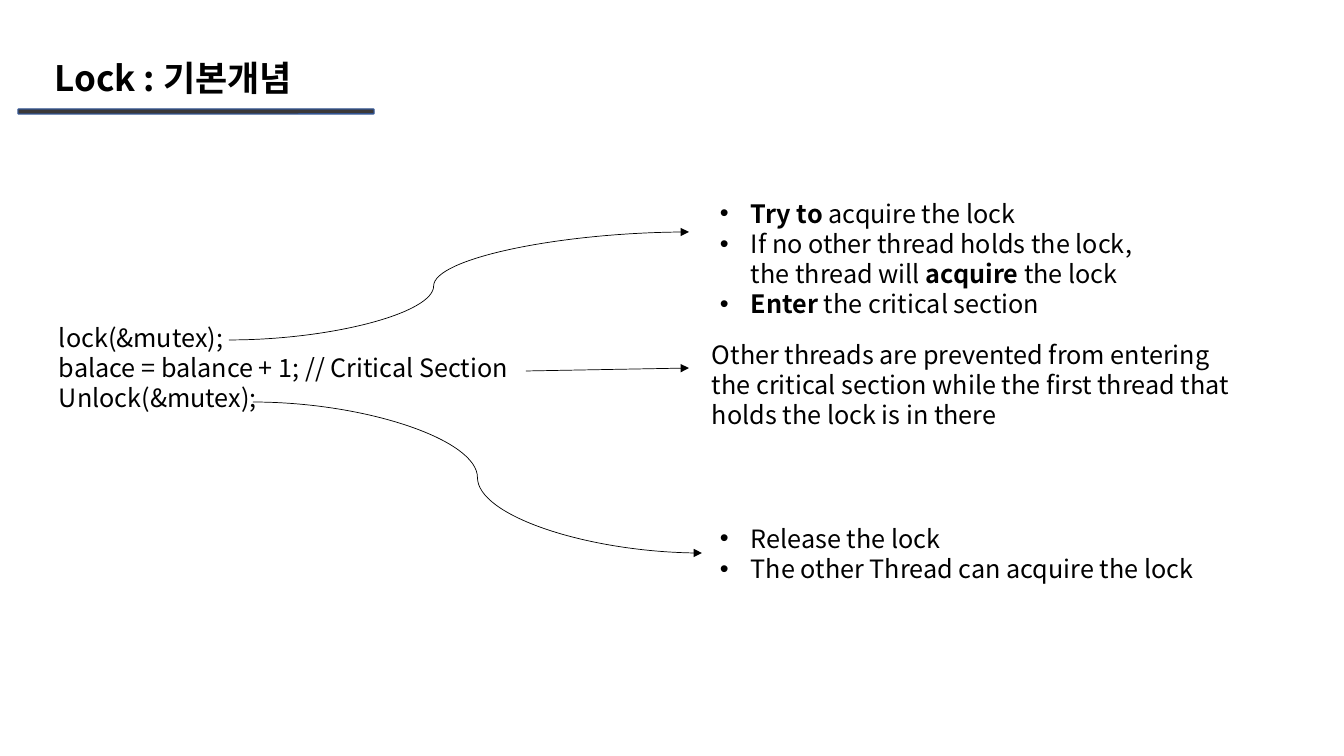
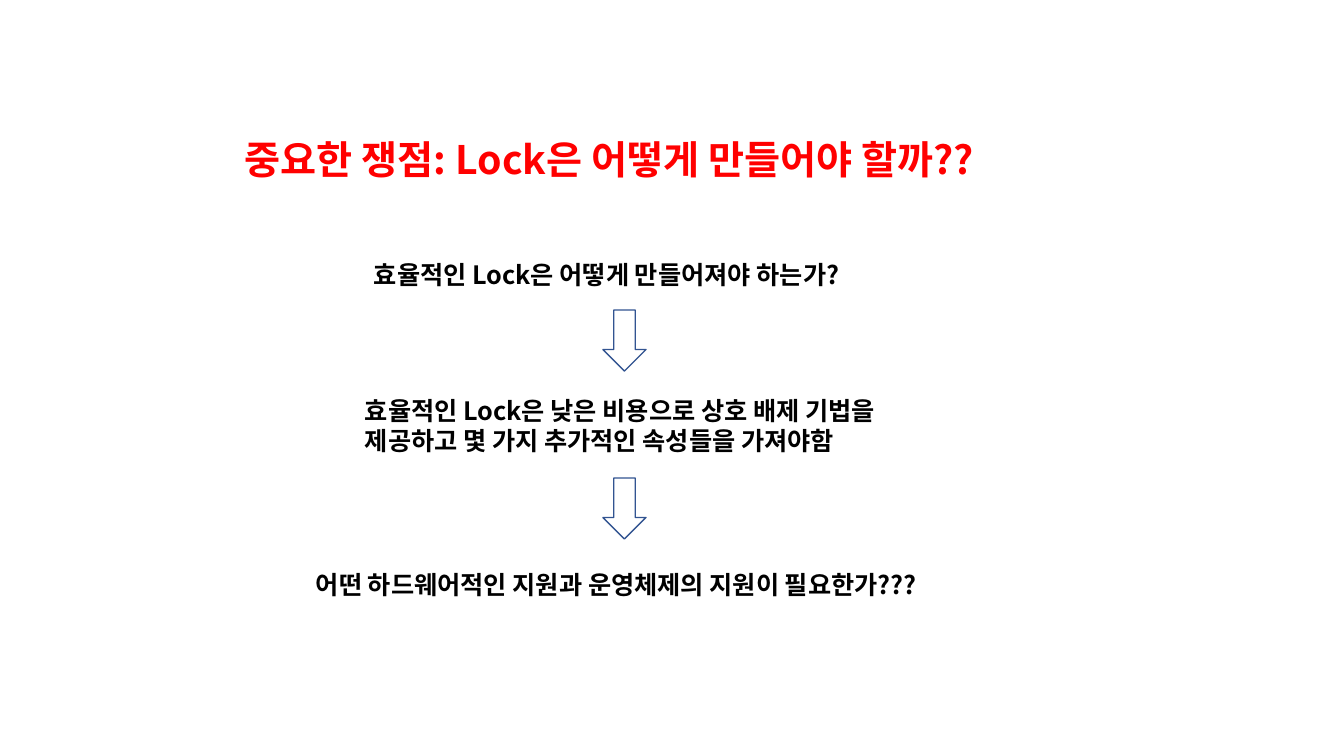
import pptx
import pptx.util
import pptx.dml.color
import pptx.enum.shapes
import pptx.oxml.ns
import lxml.etree

# Shared style
PX = 914400 / 100.8
FONT = "Noto Sans CJK KR"
BLACK, RED, WHITE = "000000", "FF0000", "FFFFFF"
BAR, EDGE = "3B3838", "325491"
SHAPE = pptx.enum.shapes.MSO_SHAPE
LINK = pptx.enum.shapes.MSO_CONNECTOR

# Slide 1: text between asterisks is bold
TITLE = "Lock : 기본개념"
CODE = [
    "lock(&mutex);",
    "balace = balance + 1; // Critical Section",
    "Unlock(&mutex);",
]
ENTER = [
    "*Try to *acquire the lock",
    "If no other thread holds the lock, the thread will *acquire* the lock",
    "*Enter* the critical section",
]
BLOCK = [
    "Other threads are prevented from entering",
    "the critical section while the first thread that",
    "holds the lock is in there",
]
LEAVE = ["Release the lock", "The other Thread can acquire the lock"]
NOTES = [
    (CODE, (49, 317, 512, 102), False),
    (ENTER, (710, 193, 450, 132), True),
    (LEAVE, (710, 518, 516, 72), True),
    (BLOCK, (702, 334, 543, 102), False),
]
# Ends of each arrow, and the bend of a curved one
LINKS = [
    ((229, 340, 689, 232), 0.445),
    ((253, 402, 702, 553), 0.5),
    ((526, 371, 689, 368), None),
]

# Slide 2
ISSUE = "중요한 쟁점: Lock은 어떻게 만들어야 할까??"
STEPS = [
    ("효율적인 Lock은 어떻게 만들어져야 하는가?", (364, 254, 565, 40)),
    ("효율적인 Lock은 낮은 비용으로 상호 배제 기법을 "
     "제공하고 몇 가지 추가적인 속성들을 가져야함", (355, 390, 584, 72)),
    ("어떤 하드웨어적인 지원과 운영체제의 지원이 필요한가???",
     (306, 564, 681, 40)),
]
DOWNS = [310, 478]


def emu(box):
    return [round(n * PX) for n in box]


def hue(code):
    return pptx.dml.color.RGBColor.from_string(code)


def sub(node, tag, **attrs):
    name = pptx.oxml.ns.qn("a:" + tag)
    return lxml.etree.SubElement(node, name, **attrs)


def write(slide, lines, box, size=18, color=BLACK, bold=False, dots=False):
    frame = slide.shapes.add_textbox(*emu(box)).text_frame
    frame.word_wrap = True
    for i, line in enumerate(lines):
        para = frame.paragraphs[0] if i == 0 else frame.add_paragraph()
        para.line_spacing = pptx.util.Pt(size * 1.2)
        if dots:
            props = para._p.get_or_add_pPr()
            pad = round(31 * PX)
            props.set("marL", str(pad))
            props.set("indent", str(-pad))
            sub(props, "buFont", typeface="Arial")
            sub(props, "buChar", char="•")
        for k, part in enumerate(line.split("*")):
            if not part:
                continue
            run = para.add_run()
            run.text = part
            font = run.font
            font.name, font.size = FONT, pptx.util.Pt(size)
            font.bold = bold or k % 2 == 1
            font.color.rgb = hue(color)
            sub(run._r.get_or_add_rPr(), "ea", typeface=FONT)


def draw(slide, kind, box, fill):
    shape = slide.shapes.add_shape(kind, *emu(box))
    shape.shadow.inherit = False
    shape.fill.solid()
    shape.fill.fore_color.rgb = hue(fill)
    shape.line.color.rgb = hue(EDGE)
    shape.line.width = pptx.util.Pt(1)


def join(slide, ends, bend):
    kind = LINK.STRAIGHT if bend is None else LINK.CURVE
    link = slide.shapes.add_connector(kind, *emu(ends))
    link.line.color.rgb = hue(BLACK)
    link.line.width = pptx.util.Pt(0.5)
    props = link._element.spPr
    sub(props.find(pptx.oxml.ns.qn("a:ln")), "tailEnd", type="triangle")
    sub(props, "effectLst")
    if bend is not None:
        guide = props.find(".//" + pptx.oxml.ns.qn("a:avLst"))
        sub(guide, "gd", name="adj1", fmla=f"val {round(bend * 100000)}")


def concept(slide):
    draw(slide, SHAPE.ROUNDED_RECTANGLE, (18, 109, 356, 5), BAR)
    write(slide, [TITLE], (45, 52, 963, 52), size=25, bold=True)
    for lines, box, dots in NOTES:
        write(slide, lines, box, dots=dots)
    for ends, bend in LINKS:
        join(slide, ends, bend)


def issue(slide):
    write(slide, [ISSUE], (235, 130, 791, 57), size=28, color=RED, bold=True)
    for line, box in STEPS:
        write(slide, [line], box, bold=True)
    for top in DOWNS:
        draw(slide, SHAPE.DOWN_ARROW, (603, top, 43, 61), WHITE)


def main():
    deck = pptx.Presentation()
    deck.slide_width, deck.slide_height = emu((1344, 756))
    for build in (concept, issue):
        build(deck.slides.add_slide(deck.slide_layouts[6]))
    deck.save("out.pptx")


if __name__ == "__main__":
    main()
